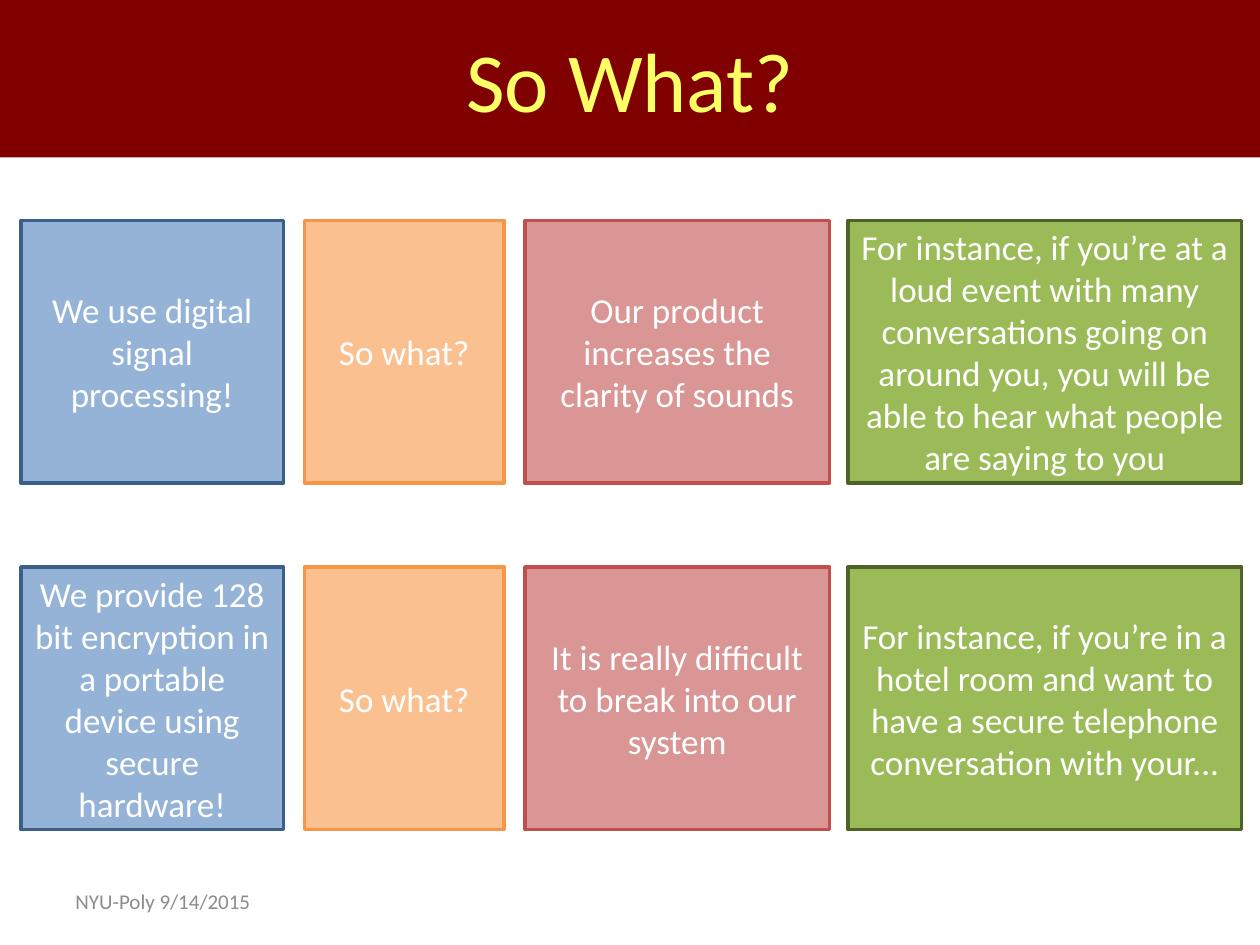
import pptx
import pptx.dml.color
import pptx.enum.shapes
import pptx.enum.text
import pptx.util

Pt = pptx.util.Pt
CENTER = pptx.enum.text.PP_ALIGN.CENTER
LEFT = pptx.enum.text.PP_ALIGN.LEFT

COLUMNS = [
    (12, 150, "95B3D7", "3A5F8C"),
    (174, 114, "FAC090", "F79646"),
    (300, 174, "D99694", "C0504D"),
    (484.5, 225, "9BBB59", "4F6228"),
]
ROW_HEIGHT = 150
ROWS = [
    (126, [
        "We use digital signal processing!",
        "So what?",
        "Our product increases the clarity of sounds",
        "For instance, if you’re at a loud event with many conversations going on "
        "around you, you will be able to hear what people are saying to you",
    ]),
    (324, [
        "We provide 128 bit encryption in a portable device using secure hardware!",
        "So what?",
        "It is really difficult to break into our system",
        "For instance, if you’re in a hotel room and want to have a secure "
        "telephone conversation with your...",
    ]),
]


def rgb(color):
    """Turn a hex string into a colour."""
    return pptx.dml.color.RGBColor.from_string(color)


def write(holder, text, size, color, align):
    """Put one vertically centred paragraph into a shape or text box."""
    frame = holder.text_frame
    frame.word_wrap = True
    frame.vertical_anchor = pptx.enum.text.MSO_ANCHOR.MIDDLE
    paragraph = frame.paragraphs[0]
    paragraph.text = text
    paragraph.alignment = align
    paragraph.font.name = "Calibri"
    paragraph.font.size = Pt(size)
    paragraph.font.color.rgb = rgb(color)


def add_panel(slide, bounds, text, size, color, fill, border=None):
    """Add a filled rectangle with centred text and an optional border."""
    panel = slide.shapes.add_shape(
        pptx.enum.shapes.MSO_SHAPE.RECTANGLE, *map(Pt, bounds))
    panel.shadow.inherit = False
    panel.fill.solid()
    panel.fill.fore_color.rgb = rgb(fill)
    if border:
        panel.line.color.rgb = rgb(border)
        panel.line.width = Pt(2)
    else:
        panel.line.fill.background()
    write(panel, text, size, color, CENTER)


def add_footer(slide, text):
    """Add the small grey date line at the bottom left."""
    footer = slide.shapes.add_textbox(Pt(36), Pt(500.5), Pt(168), Pt(28.75))
    write(footer, text, 12, "8C8C8C", LEFT)


def main():
    """Build the slide and save it."""
    deck = pptx.Presentation()
    deck.slide_width, deck.slide_height = Pt(720), Pt(540)
    slide = deck.slides.add_slide(deck.slide_layouts[6])
    add_footer(slide, "NYU-Poly 9/14/2015")
    add_panel(slide, (0, 0, 720, 90), "So What?", 48, "FFFF66", "800000")
    for top, statements in ROWS:
        for (left, width, fill, border), statement in zip(COLUMNS, statements):
            add_panel(slide, (left, top, width, ROW_HEIGHT), statement, 20,
                      "FFFFFF", fill, border)
    deck.save("out.pptx")


if __name__ == "__main__":
    main()
